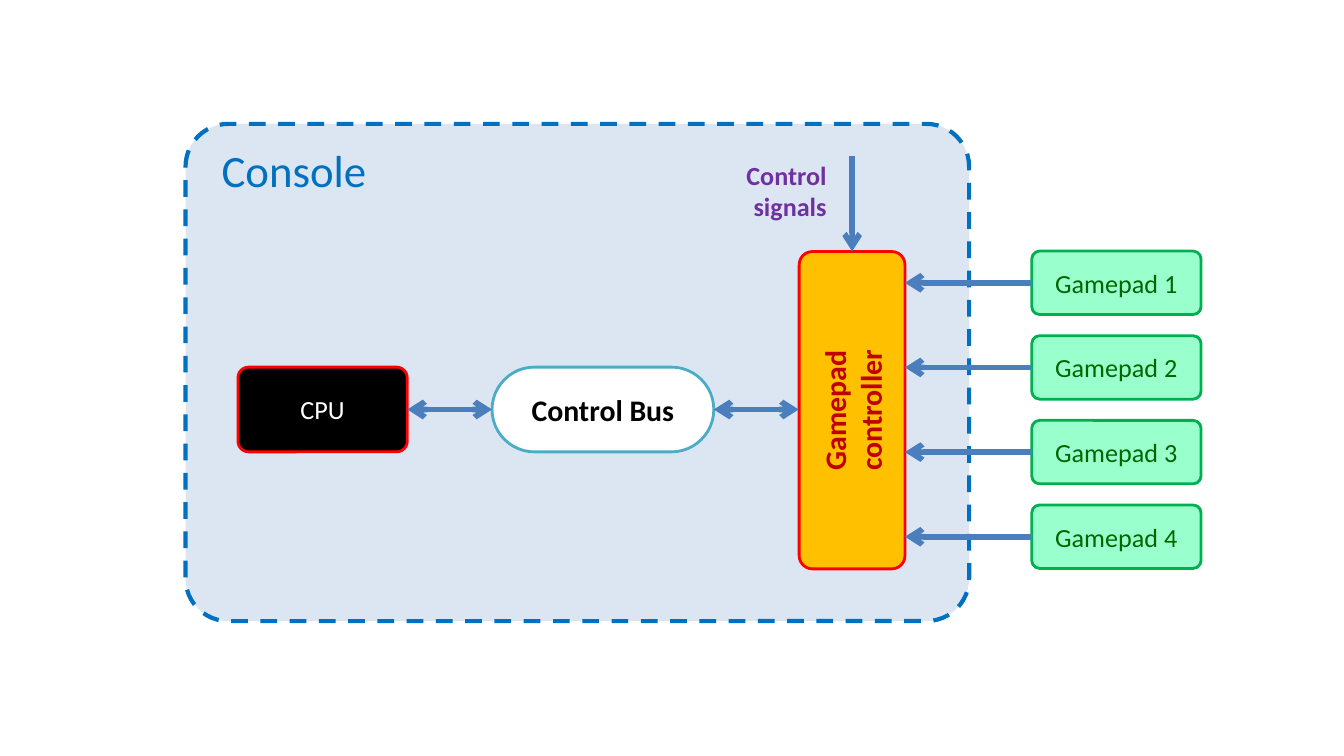
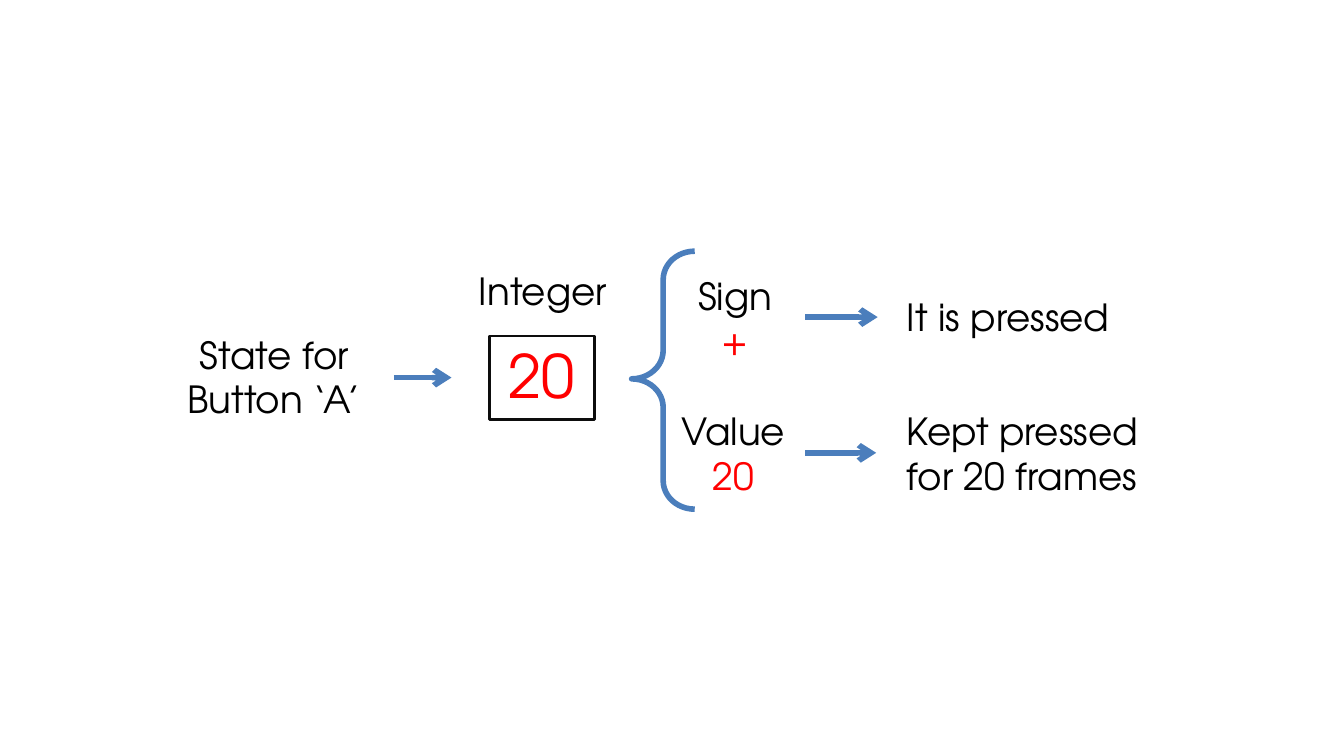
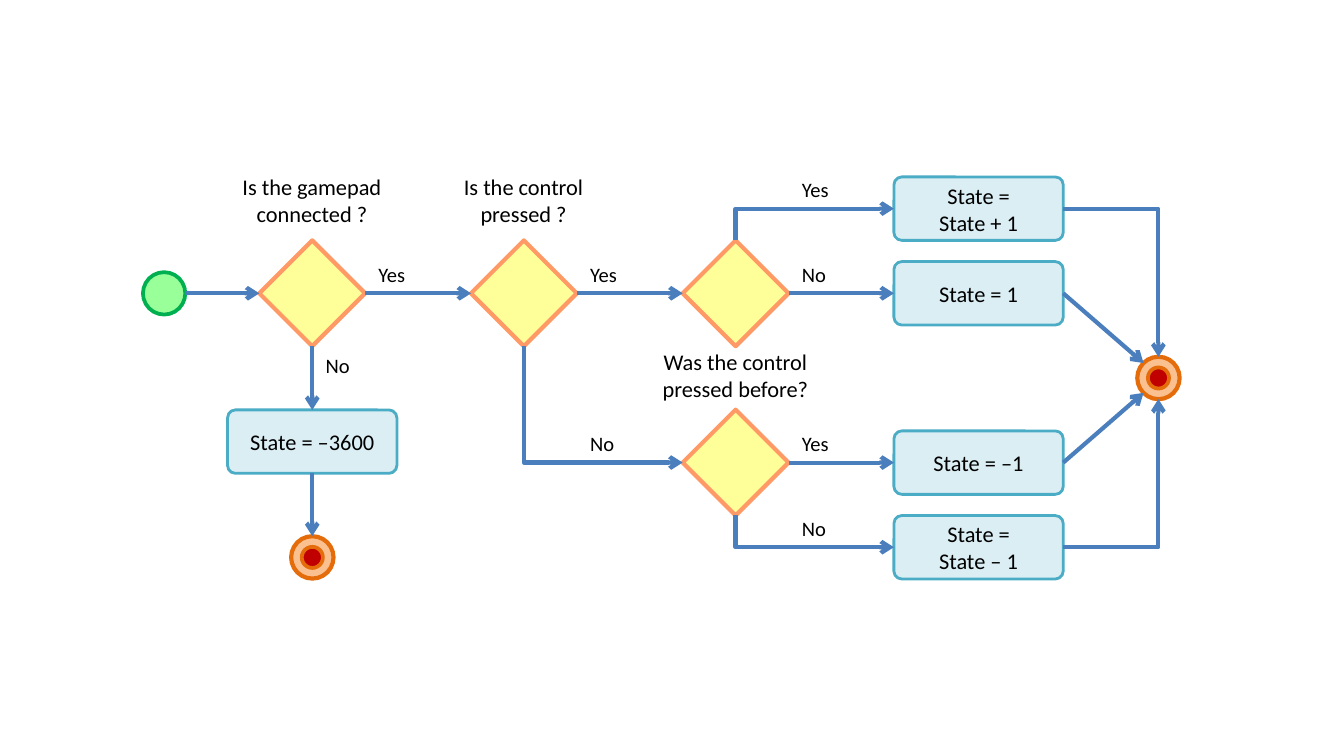
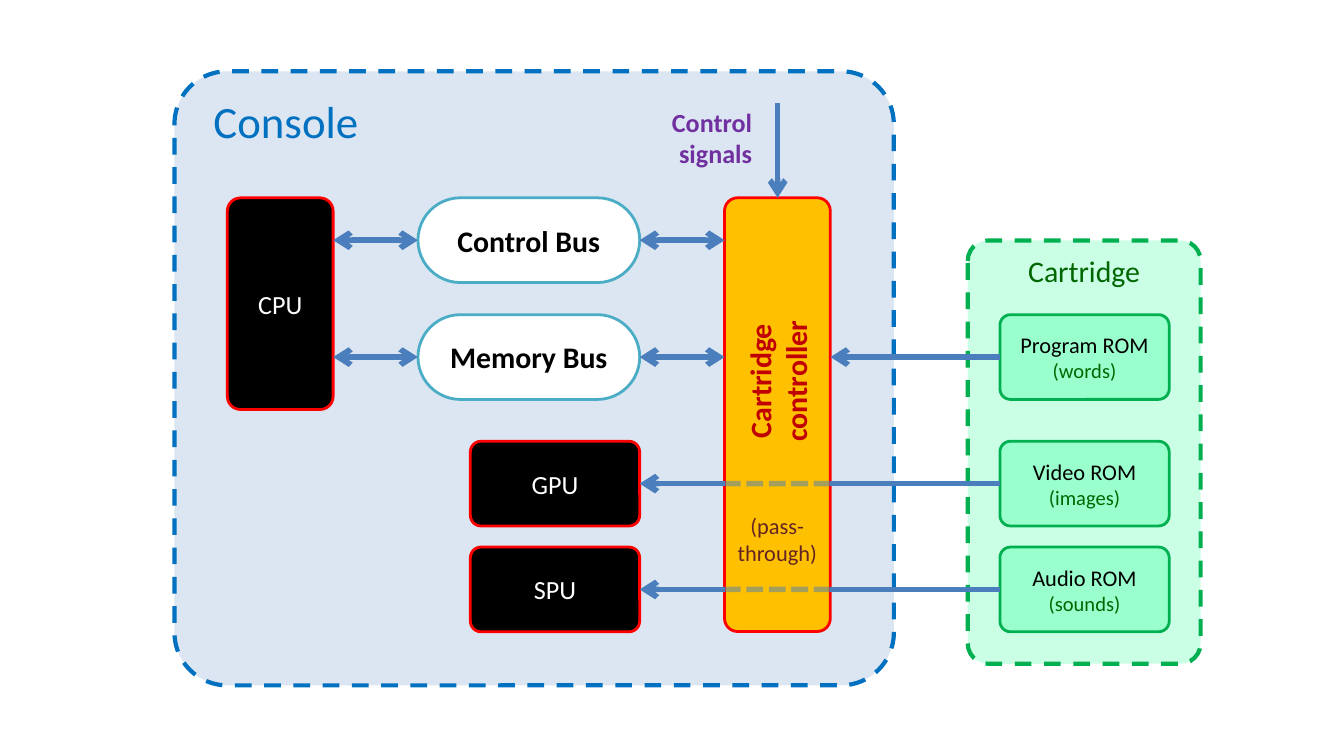
from lxml import etree
from pptx import Presentation
from pptx.dml.color import RGBColor
from pptx.enum import dml, shapes, text
from pptx.oxml.ns import qn
from pptx.util import Pt

BLACK = RGBColor(0x00, 0x00, 0x00)
WHITE = RGBColor(0xFF, 0xFF, 0xFF)
RED = RGBColor(0xFF, 0x00, 0x00)
DARK_RED = RGBColor(0xC0, 0x00, 0x00)
BROWN = RGBColor(0x63, 0x25, 0x23)
AMBER = RGBColor(0xFF, 0xC0, 0x00)
ORANGE = RGBColor(0xE4, 0x6C, 0x0A)
PEACH = RGBColor(0xFA, 0xC0, 0x90)
CORAL = RGBColor(0xFF, 0x99, 0x66)
YELLOW = RGBColor(0xFF, 0xFF, 0x99)
LIME = RGBColor(0x99, 0xFF, 0x99)
MINT = RGBColor(0x99, 0xFF, 0xCC)
GREEN = RGBColor(0x00, 0xB0, 0x50)
DARK_GREEN = RGBColor(0x00, 0x66, 0x00)
PURPLE = RGBColor(0x70, 0x30, 0xA0)
BLUE = RGBColor(0x00, 0x70, 0xC0)
PALE_BLUE = RGBColor(0xDC, 0xE6, 0xF2)
TEAL = RGBColor(0x4B, 0xAC, 0xC6)
PALE_TEAL = RGBColor(0xDB, 0xEE, 0xF4)
ARROW_BLUE = RGBColor(0x4B, 0x7E, 0xBC)
PASS_BLUE = RGBColor(0x4A, 0x7E, 0xBB)
INK = RGBColor(0x0D, 0x0D, 0x0D)

BODY = "Calibri"
GEOMETRIC = "TeX Gyre Adventor"
ROUND = shapes.MSO_SHAPE.ROUNDED_RECTANGLE
CIRCLE = shapes.MSO_SHAPE.FLOWCHART_CONNECTOR
DECISION = shapes.MSO_SHAPE.FLOWCHART_DECISION
DASH = dml.MSO_LINE.DASH
LEFT, CENTER, RIGHT = text.PP_ALIGN.LEFT, text.PP_ALIGN.CENTER, text.PP_ALIGN.RIGHT
TOP, MIDDLE = text.MSO_ANCHOR.TOP, text.MSO_ANCHOR.MIDDLE


def block(fill, line, color=BLACK, size=14, **extra):
    return dict(preset=ROUND, adjust=[0.125], fill=fill, line=line, width=1.5,
                color=color, size=size, anchor=MIDDLE, **extra)


CONTROLLER = block(AMBER, RED, DARK_RED, 16, bold=True, rotation=270)
BUS = block(WHITE, TEAL, BLACK, 16, bold=True) | {"adjust": [0.5]}
GEO = dict(font=GEOMETRIC, size=20)
STYLES = {
    "console": dict(preset=ROUND, adjust=[0.086], fill=PALE_BLUE, line=BLUE, width=2.25,
                    dash=DASH, size=24, color=BLUE, align=LEFT, inset=12.6),
    "cartridge": dict(preset=ROUND, adjust=[0.088], fill=MINT, alpha=50, line=GREEN,
                      width=2.25, dash=DASH, size=16, color=DARK_GREEN),
    "controller": CONTROLLER,
    "shifted controller": CONTROLLER | {"inset": 43.2},
    "processor": block(BLACK, RED, WHITE),
    "bus": BUS,
    "gamepad": block(MINT, GREEN, DARK_GREEN),
    "rom": block(MINT, GREEN, size=12, second={"size": 11, "color": DARK_GREEN}),
    "state": block(PALE_TEAL, TEAL, size=12),
    "start": dict(preset=CIRCLE, fill=LIME, line=GREEN, width=2),
    "end ring": dict(preset=CIRCLE, fill=PEACH, line=ORANGE, width=2.25),
    "end core": dict(preset=CIRCLE, fill=DARK_RED, line=ORANGE, width=2),
    "decision": dict(preset=DECISION, fill=YELLOW, line=CORAL, width=2.25),
    "frame": dict(preset=shapes.MSO_SHAPE.RECTANGLE, line=INK, width=1.5),
    "brace": dict(preset=shapes.MSO_SHAPE.LEFT_BRACE, adjust=[0.451, 0.495],
                  line=ARROW_BLUE, width=3),
    "signal": dict(size=14, color=PURPLE, bold=True, align=RIGHT),
    "pass": dict(size=12, color=BROWN),
    "question": dict(size=12),
    "answer": dict(size=11, align=LEFT),
    "number": GEO | dict(size=32, color=RED, anchor=MIDDLE),
    "caption": GEO,
    "part": GEO | {"second": {"color": RED}},
    "meaning": GEO | {"align": LEFT},
}
LINES = {
    "thick": dict(color=ARROW_BLUE, width=3),
    "flow": dict(color=ARROW_BLUE, width=2.25),
    "hidden": dict(color=PASS_BLUE, width=3, dash=dml.MSO_LINE.SQUARE_DOT, alpha=50),
}

GAMEPADS = ["Gamepad 1", "Gamepad 2", "Gamepad 3", "Gamepad 4"]
GAMEPAD_SYSTEM = [
    ("console", "Console", 99.4, 66.4, 419.8, 266.4),
    ("controller", "Gamepad\ncontroller", 371.5, 191.4, 170, 56.7),
    ("processor", "CPU", 127.5, 196.7, 90.7, 45.4),
    ("bus", "Control Bus", 263.6, 196.7, 118.8, 45.4),
]
INTEGER_PARTS = [
    ("frame", "", 262.1, 180, 56.2, 44.6),
    ("number", "20", 263.5, 177.8, 53.3, 46.1),
    ("caption", "State for\nButton ‘A’", 71.3, 174.2, 151.2, 55.4),
    ("part", "Sign\n+", 357.1, 142.6, 73.4, 44.6),
    ("meaning", "It is pressed", 478.8, 154.1, 136.1, 31.7),
    ("part", "Value\n20", 352.1, 215.3, 81.4, 44.6),
    ("meaning", "Kept pressed for 20 frames", 478.8, 215.3, 158.4, 55.4),
    ("brace", "", 338.4, 134.6, 33.8, 138.2),
    ("caption", "Integer", 245.5, 140.4, 90.7, 31.7),
]
INTEGER_ARROWS = [(211, 202.3, 241.9), (431.3, 169.9, 470.2), (431.3, 242.6, 469.4)]

QUESTIONS = [
    ("Is the gamepad connected ?", 121.8, 89.3, 90.7),
    ("Is the control pressed ?", 235.2, 89.3, 90.7),
    ("Was the control pressed before?", 342.9, 182.9, 102.2),
]
DECISIONS = {"connected": (0, 1), "pressed": (1, 1), "held": (2, 1), "released": (2, 3)}
STATES = [(0, "State =\nState + 1", "Yes"), (1, "State = 1", "No"),
          (3, "State = –1", "Yes"), (4, "State =\nState – 1", "No")]

CARTRIDGE_SYSTEM = [
    ("cartridge", "Cartridge", 518.4, 128.8, 124.8, 226.8),
    ("console", "Console", 93.5, 38.2, 385.4, 329),
    ("shifted controller", "Cartridge\ncontroller", 300.3, 193.8, 232.4, 56.7),
    ("processor", "CPU", 121.8, 106, 56.7, 113.4),
]
BUSES = [("Control Bus", 106), ("Memory Bus", 168.6)]
ROMS = [("Program ROM\n(words)", 168.6, None), ("Video ROM\n(images)", 236.4, "GPU"),
        ("Audio ROM\n(sounds)", 293.1, "SPU")]


def set_alpha(parent, percent):
    color = parent.find(".//" + qn("a:srgbClr"))
    etree.SubElement(color, qn("a:alpha"), val=str(percent * 1000))


def write(shape, content, style):
    frame = shape.text_frame
    settings = {"word_wrap": True, "vertical_anchor": style.get("anchor", TOP),
                "margin_left": Pt(style.get("inset", 7.2))}
    for name, value in settings.items():
        setattr(frame, name, value)
    for index, line in enumerate(content.split("\n")):
        paragraph = frame.add_paragraph() if index else frame.paragraphs[0]
        paragraph.alignment = style.get("align", CENTER)
        look = style | style.get("second", {}) if index else style
        run = paragraph.add_run()
        run.text = line
        formats = {"name": look.get("font", BODY), "size": Pt(look["size"]),
                   "bold": look.get("bold", False)}
        for name, value in formats.items():
            setattr(run.font, name, value)
        run.font.color.rgb = look.get("color", BLACK)


def add(slide, kind, content, left, top, width, height):
    style = STYLES[kind]
    box = [Pt(value) for value in (left, top, width, height)]
    if "preset" in style:
        shape = slide.shapes.add_shape(style["preset"], *box)
        shape.shadow.inherit = False
        shape.rotation = style.get("rotation", 0)
        for index, value in enumerate(style.get("adjust", [])):
            shape.adjustments[index] = value
        if "fill" in style:
            shape.fill.solid()
            shape.fill.fore_color.rgb = style["fill"]
            if "alpha" in style:
                set_alpha(shape._element.spPr.find(qn("a:solidFill")), style["alpha"])
        else:
            shape.fill.background()
        shape.line.color.rgb = style["line"]
        shape.line.width = Pt(style["width"])
        if "dash" in style:
            shape.line.dash_style = style["dash"]
    else:
        shape = slide.shapes.add_textbox(*box)
        shape.text_frame.auto_size = text.MSO_AUTO_SIZE.SHAPE_TO_FIT_TEXT
    if content:
        write(shape, content, style)
    return shape


def add_centered(slide, kind, content, x, y, width, height):
    return add(slide, kind, content, x - width / 2, y - height / 2, width, height)


def connect(slide, x1, y1, x2, y2, kind="thick", ends="tail",
            shape_type=shapes.MSO_CONNECTOR.STRAIGHT):
    style = LINES[kind]
    line = slide.shapes.add_connector(shape_type, Pt(x1), Pt(y1), Pt(x2), Pt(y2))
    line.line.color.rgb = style["color"]
    line.line.width = Pt(style["width"])
    if "dash" in style:
        line.line.dash_style = style["dash"]
    properties = line._element.spPr
    outline = properties.find(qn("a:ln"))
    if "alpha" in style:
        set_alpha(outline, style["alpha"])
    for end in ("head", "tail"):
        if end in ends:
            etree.SubElement(outline, qn(f"a:{end}End"), type="arrow")
    etree.SubElement(properties, qn("a:effectLst"))
    return line


def connect_elbow(slide, begin, begin_site, end, end_site, points, ends):
    line = connect(slide, *points, "flow", ends, shapes.MSO_CONNECTOR.ELBOW)
    line._element.spPr.find(qn("a:prstGeom")).set("prst", "bentConnector2")
    links = line._element.nvCxnSpPr.cNvCxnSpPr
    for tag, shape, site in (("stCxn", begin, begin_site), ("endCxn", end, end_site)):
        etree.SubElement(links, qn(f"a:{tag}"), id=str(shape.shape_id), idx=str(site))


def add_control_signal(slide, x, top, bottom):
    connect(slide, x, top, x, bottom)
    add(slide, "signal", "Control signals", x - 74.2, top - 1.9, 67.7, 41)


def add_end(slide, x, y):
    ring = add_centered(slide, "end ring", "", x, y, 22.7, 22.7)
    add_centered(slide, "end core", "", x, y, 11.3, 11.3)
    return ring


def build_gamepad_system(slide):
    for part in GAMEPAD_SYSTEM:
        add(slide, *part)
    for x1, x2 in ((218.2, 263.6), (382.4, 427.9)):
        connect(slide, x1, 219.4, x2, 219.4, ends="head tail")
    add_control_signal(slide, 456.5, 83.6, 134.7)
    for index, name in enumerate(GAMEPADS):
        y = 151.5 + index * 45.35
        add_centered(slide, "gamepad", name, 598.1, y, 90.7, 34)
        connect(slide, 484.8, y, 552.8, y, ends="head")


def build_integer(slide):
    for part in INTEGER_PARTS:
        add(slide, *part)
    for x1, y, x2 in INTEGER_ARROWS:
        connect(slide, x1, y, x2, y)


def build_state_flow(slide):
    rows = [111.8 + 45.35 * index for index in range(5)]
    columns = [167.3 + 113.4 * index for index in range(3)]
    half, state_left, state_right = 28.35, 478.9, 569.6
    end_x, end_y, end_radius = 620.6, rows[2], 11.35
    main = rows[1]

    def answer(label, x, y):
        add(slide, "answer", label, x, y - 20.5, 34.6, 20.9)

    add_centered(slide, "start", "", 87.9, main, 22.7, 22.7)
    diamonds = {name: add_centered(slide, "decision", "", columns[column], rows[row],
                                   2 * half, 2 * half)
                for name, (column, row) in DECISIONS.items()}
    for question, left, top, width in QUESTIONS:
        add(slide, "question", question, left, top, width, 36)

    connect(slide, 99.2, main, columns[0] - half, main, "flow")
    for left, right in zip(columns, columns[1:]):
        connect(slide, left + half, main, right - half, main, "flow")
        answer("Yes", left + half, main)
    answer("No", columns[1] + half, rows[3])
    answer("No", columns[0], 206.3)

    add_centered(slide, "state", "State = –3600", columns[0], 236.6, 90.7, 34)
    add_end(slide, columns[0], 298.6)
    connect(slide, columns[0], main + half, columns[0], 219.6, "flow")
    connect(slide, columns[0], 253.6, columns[0], 287.2, "flow")

    end = add_end(slide, end_x, end_y)
    boxes = {}
    for row, content, label in STATES:
        y = rows[row]
        boxes[row] = add(slide, "state", content, state_left, y - 17, 90.7, 34)
        answer(label, columns[2] + half, y)
        if row in (1, 3):
            connect(slide, columns[2] + half, y, state_left, y, "flow")
            side = 8 if row == 3 else -8
            connect(slide, state_right, y, end_x - 8, end_y + side, "flow")

    connect_elbow(slide, diamonds["released"], 1, diamonds["pressed"], 2,
                  (columns[2] - half, rows[3], columns[1], main + half), "head")
    for row, diamond, site, end_site, sign in ((0, "held", 0, 0, -1),
                                               (4, "released", 2, 4, 1)):
        y = rows[row]
        corner = rows[DECISIONS[diamond][1]] + sign * half
        connect_elbow(slide, boxes[row], 1, diamonds[diamond], site,
                      (state_left, y, columns[2], corner), "head")
        connect_elbow(slide, boxes[row], 3, end, end_site,
                      (state_right, y, end_x, end_y + sign * end_radius), "tail")


def build_cartridge_system(slide):
    for part in CARTRIDGE_SYSTEM:
        add(slide, *part)
    bus_left, bus_right, controller_left, controller_right = 223.9, 342.7, 388.2, 444.9
    rom_left, height, chip_width = 535.7, 45.4, 90.7
    add_control_signal(slide, 416.6, 55.2, 106)
    for name, top in BUSES:
        y = top + height / 2
        add(slide, "bus", name, bus_left, top, bus_right - bus_left, height)
        connect(slide, 178.5, y, bus_left, y, ends="head tail")
        connect(slide, bus_right, y, controller_left, y, ends="head tail")
    for name, top, processor in ROMS:
        y = top + height / 2
        add(slide, "rom", name, rom_left, top, chip_width, height)
        connect(slide, rom_left, y, controller_right, y, ends="" if processor else "tail")
        if processor:
            add(slide, "processor", processor, bus_right - chip_width, top, chip_width, height)
            connect(slide, controller_left, y, bus_right, y)
            connect(slide, controller_right, y, controller_left, y, "hidden", "")
    add(slide, "pass", "(pass-through)", 382.6, 270.7, 67.7, 36)


def main():
    presentation = Presentation()
    presentation.slide_width = Pt(720)
    presentation.slide_height = Pt(405)
    for build in (build_gamepad_system, build_integer, build_state_flow,
                  build_cartridge_system):
        build(presentation.slides.add_slide(presentation.slide_layouts[6]))
    presentation.save("out.pptx")


if __name__ == "__main__":
    main()
